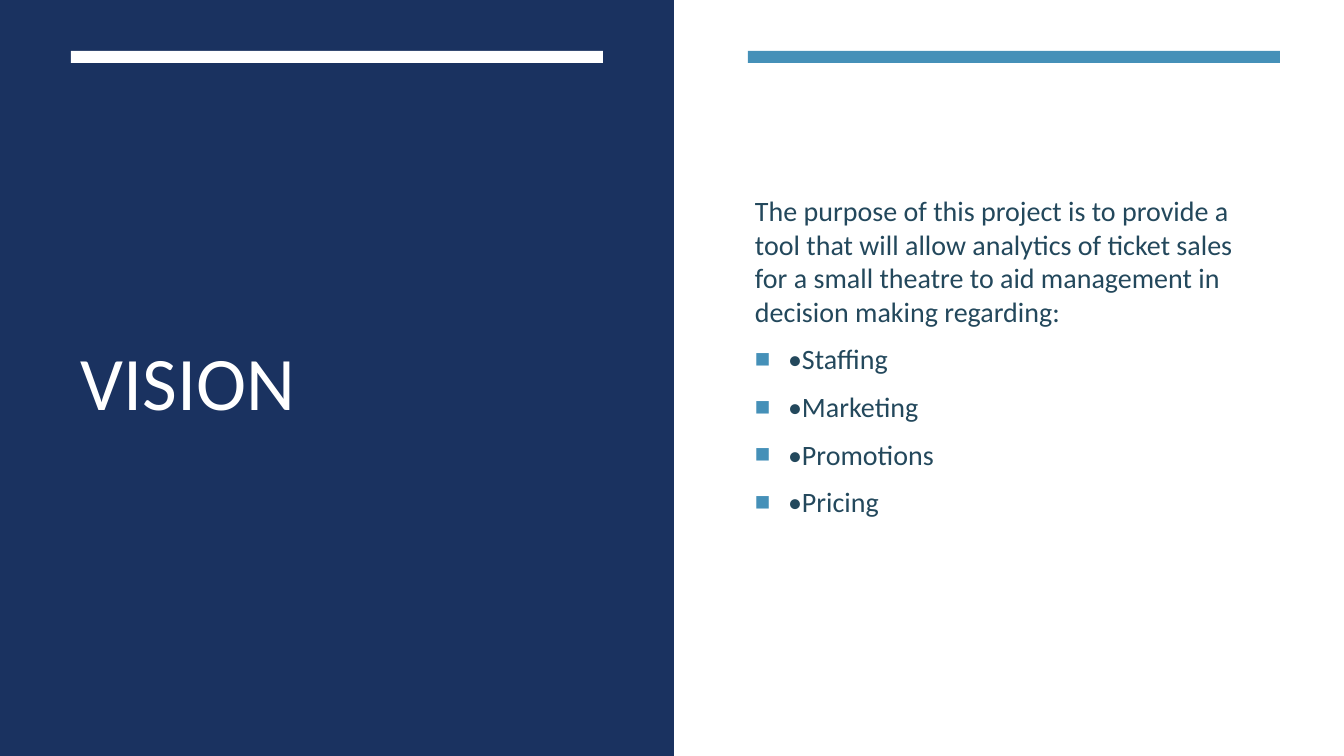
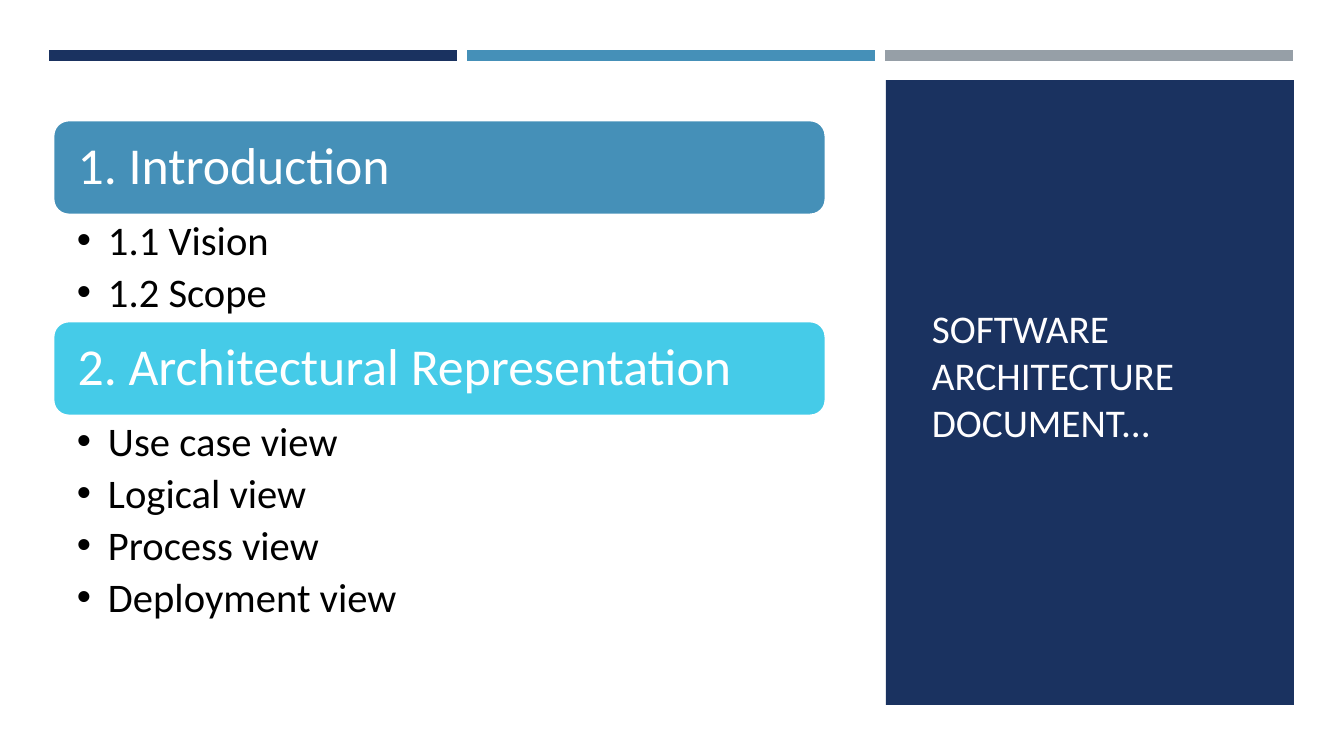
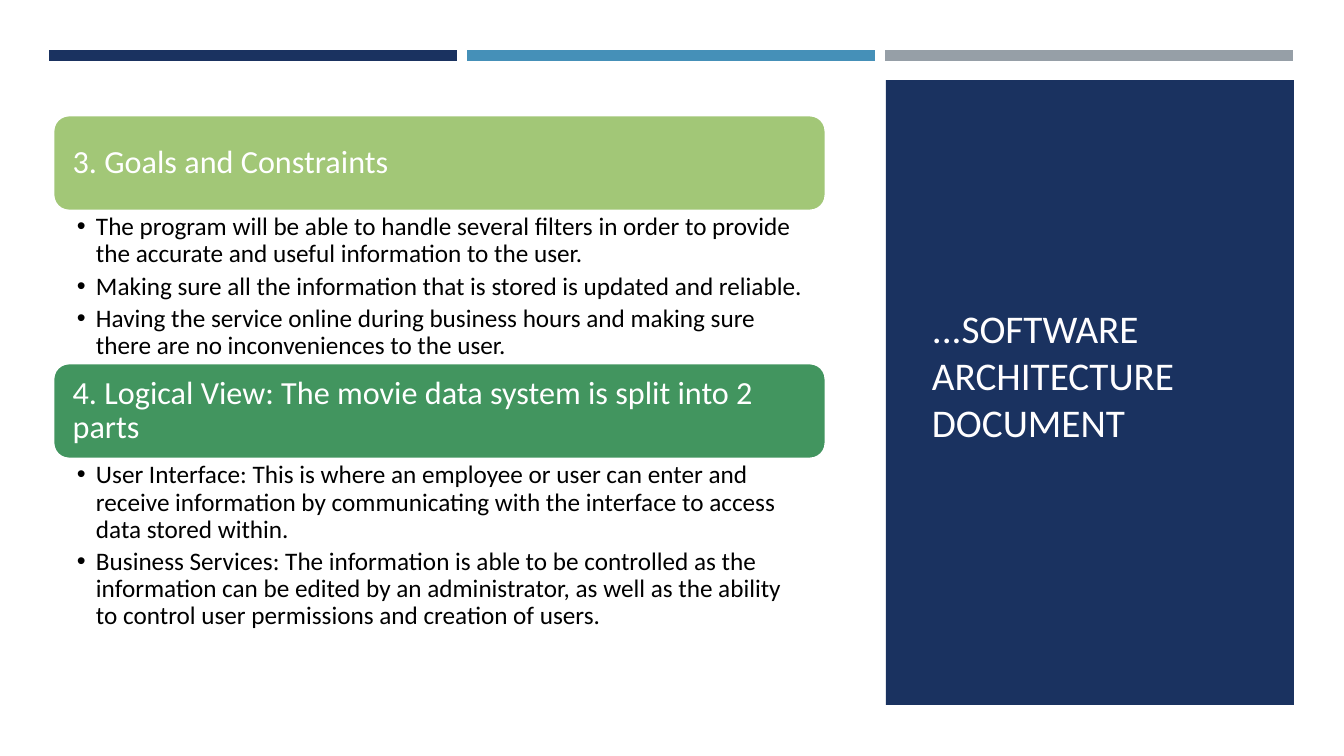
"""Build three slides on a theatre ticket analytics project."""
from lxml.etree import SubElement
from pptx import Presentation
from pptx.dml.color import RGBColor
from pptx.enum.shapes import MSO_SHAPE
from pptx.enum.text import MSO_ANCHOR, PP_ALIGN
from pptx.oxml.ns import qn
from pptx.util import Emu, Pt

PIXEL = 914400 / 100.8
FONT = "Calibri"
NAVY, BLUE, GREY, WHITE = "1A3260", "4590B8", "969FA7", "FFFFFF"
CYAN, LIME, GREEN = "45CBE8", "A2C777", "42955F"
TITLE_WHITE, BODY, BLACK = "FFFEFF", "23485C", "000000"


def px(length):
    return Emu(round(length * PIXEL))


def rgb(value):
    return RGBColor.from_string(value)


class Deck:
    def __init__(self):
        self.presentation = Presentation()
        self.presentation.slide_width = px(1344)
        self.presentation.slide_height = px(756)
        self.slide = None

    def new_slide(self):
        self.slide = self.presentation.slides.add_slide(self.presentation.slide_layouts[6])

    def block(self, left, top, width, height, color, preset=MSO_SHAPE.RECTANGLE):
        shape = self.slide.shapes.add_shape(preset, px(left), px(top), px(width), px(height))
        shape.shadow.inherit = False
        shape.fill.solid()
        shape.fill.fore_color.rgb = rgb(color)
        shape.line.fill.background()
        return shape

    def frame(self, shape, insets=(10, 5, 10, 5), anchor=MSO_ANCHOR.MIDDLE):
        frame = shape.text_frame
        frame.word_wrap = True
        frame.vertical_anchor = anchor
        frame.margin_left, frame.margin_top, frame.margin_right, frame.margin_bottom = map(px, insets)
        return frame

    def text_box(self, left, top, width, height, **options):
        box = self.slide.shapes.add_textbox(px(left), px(top), px(width), px(height))
        return self.frame(box, **options)

    def paragraph(self, frame, text, size, color, before=0, after=0, spacing=None):
        first = not frame.paragraphs[0].runs
        paragraph = frame.paragraphs[0] if first else frame.add_paragraph()
        paragraph.alignment = PP_ALIGN.LEFT
        paragraph.space_before = Pt(0 if first else before)
        paragraph.space_after = Pt(after)
        if spacing:
            paragraph.line_spacing = spacing
        run = paragraph.add_run()
        run.text = text
        run.font.name = FONT
        run.font.size = Pt(size)
        run.font.color.rgb = rgb(color)
        return paragraph

    def bullet(self, paragraph, character, indent, color=None, percent=100):
        properties = paragraph._p.get_or_add_pPr()
        properties.set("marL", str(px(indent)))
        properties.set("indent", str(-px(indent)))
        if color:
            SubElement(SubElement(properties, qn("a:buClr")), qn("a:srgbClr"), val=color)
        SubElement(properties, qn("a:buSzPct"), val=str(percent * 1000))
        SubElement(properties, qn("a:buFont"), typeface="Arial")
        SubElement(properties, qn("a:buChar"), char=character)

    def title(self, text, left, top, width, height, size, color):
        self.paragraph(self.text_box(left, top, width, height), text, size, color)

    def document_slide(self, title):
        self.new_slide()
        for column, color in enumerate((NAVY, BLUE, GREY)):
            self.block(49 + 418 * column, 50, 408, 11, color)
        self.block(886, 80, 408, 625, NAVY)
        self.title(title, 922, 115, 337, 519, 28, TITLE_WHITE)

    def heading(self, text, top, height, color, size, inset):
        shape = self.block(53, top, 773, height, color, MSO_SHAPE.ROUNDED_RECTANGLE)
        shape.line.color.rgb = rgb(WHITE)
        shape.line.width = Pt(2)
        frame = self.frame(shape, insets=(inset, 10, inset, 10))
        self.paragraph(frame, text, size, WHITE, spacing=0.9)

    def bullet_list(self, items, top, height, size, indent, insets):
        frame = self.text_box(53, top, 773, height, insets=insets, anchor=MSO_ANCHOR.TOP)
        for item in items:
            paragraph = self.paragraph(frame, item, size, BLACK, after=size * 0.2, spacing=0.9)
            self.bullet(paragraph, "•", indent)

    def sections(self, sections, top, heading_height, heading_size, heading_inset, size, indent, insets):
        for heading, color, list_height, items in sections:
            self.heading(heading, top, heading_height, color, heading_size, heading_inset)
            top += heading_height
            self.bullet_list(items, top, list_height, size, indent, insets)
            top += list_height


def vision_slide(deck):
    deck.new_slide()
    deck.block(0, 0, 674, 756, NAVY)
    deck.title("VISION", 71, 114, 532, 532, 54, WHITE)
    deck.block(71, 51, 532, 12, WHITE)
    deck.block(748, 51, 532, 12, BLUE)
    frame = deck.text_box(745, 114, 535, 484)
    deck.paragraph(
        frame,
        "The purpose of this project is to provide a tool that will allow analytics of ticket sales "
        "for a small theatre to aid management in decision making regarding:",
        20, BODY, after=6)
    for topic in ("•Staffing", "•Marketing", "•Promotions", "•Pricing"):
        paragraph = deck.paragraph(frame, topic, 20, BODY, before=4, after=6)
        deck.bullet(paragraph, "■", 33, BLUE, 92)


def main():
    deck = Deck()
    vision_slide(deck)

    deck.document_slide("SOFTWARE ARCHITECTURE DOCUMENT...")
    deck.sections([
        ("1. Introduction", BLUE, 106, ["1.1 Vision", "1.2 Scope"]),
        ("2. Architectural Representation", CYAN, 211,
         ["Use case view", "Logical view", "Process view", "Deployment view"]),
    ], top=120, heading_height=95, heading_size=37, heading_inset=20,
        size=29, indent=31, insets=(24, 5, 29, 5))

    deck.document_slide("...SOFTWARE ARCHITECTURE DOCUMENT")
    deck.sections([
        ("3. Goals and Constraints", LIME, 152, [
            "The program will be able to handle several filters in order to provide the accurate "
            "and useful information to the user.",
            "Making sure all the information that is stored is updated and reliable.",
            "Having the service online during business hours and making sure there are no "
            "inconveniences to the user."]),
        ("4. Logical View: The movie data system is split into 2 parts", GREEN, 173, [
            "User Interface: This is where an employee or user can enter and receive information "
            "by communicating with the interface to access data stored within.",
            "Business Services: The information is able to be controlled as the information can be "
            "edited by an administrator, as well as the ability to control user permissions and "
            "creation of users."]),
    ], top=115, heading_height=96, heading_size=23, heading_inset=15,
        size=18, indent=19, insets=(24, 3, 18, 3))

    deck.presentation.save("out.pptx")


if __name__ == "__main__":
    main()
